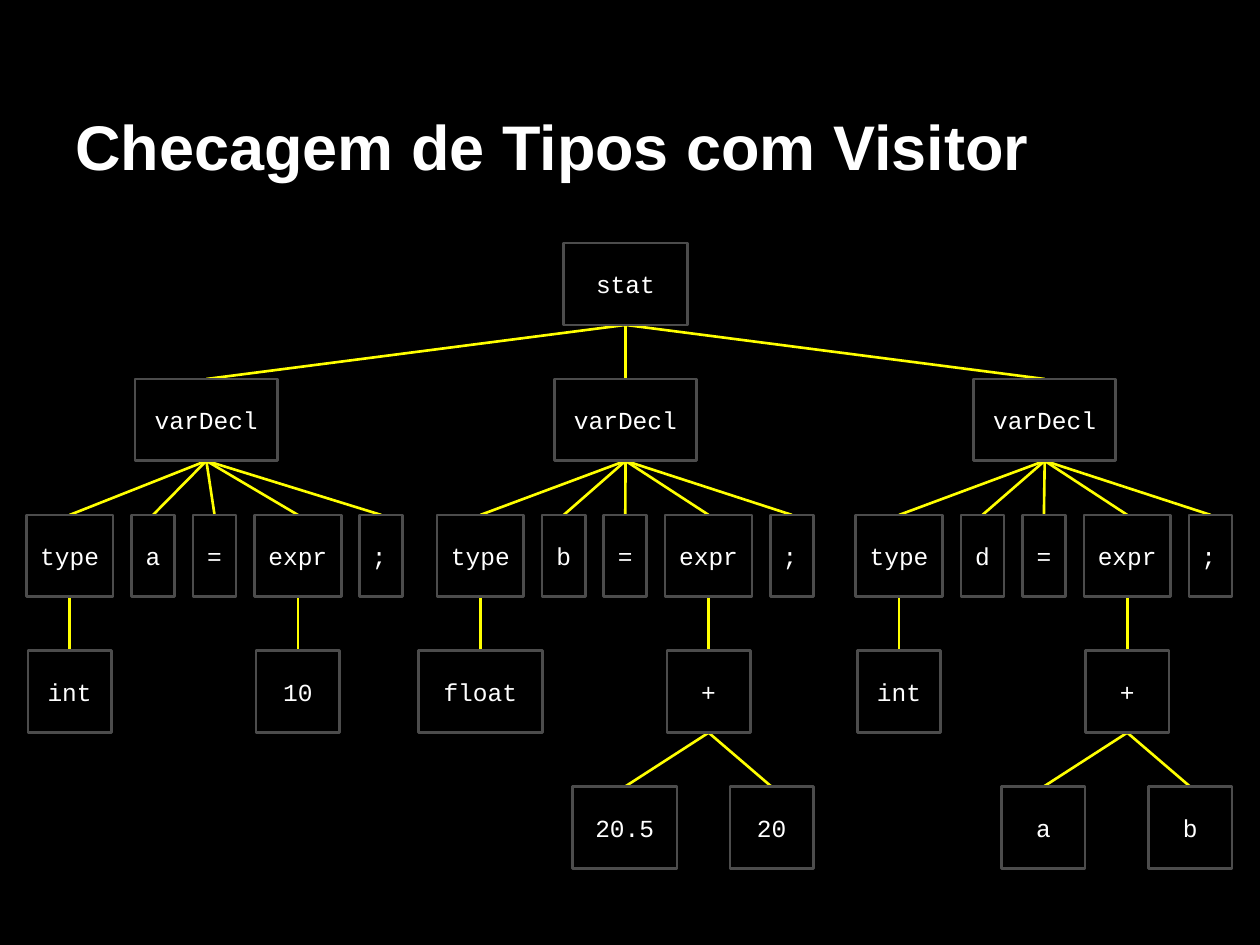
from lxml.etree import SubElement
from pptx import Presentation
from pptx.dml.color import RGBColor
from pptx.enum.shapes import MSO_CONNECTOR, MSO_SHAPE
from pptx.enum.text import MSO_ANCHOR, MSO_AUTO_SIZE, PP_ALIGN
from pptx.oxml.ns import qn
from pptx.util import Cm, Pt

BLACK = RGBColor(0x00, 0x00, 0x00)
WHITE = RGBColor(0xFF, 0xFF, 0xFF)
GRAY = RGBColor(0x4C, 0x4C, 0x4C)
YELLOW = RGBColor(0xFF, 0xFF, 0x00)

CODE = {"name": "Courier New", "size": Pt(14)}
HEAD = {"name": "Arial", "size": Pt(36), "bold": True}
FRAME = {"margin_left": Cm(0.25), "margin_right": Cm(0.25),
         "margin_top": Cm(0.25), "margin_bottom": Cm(0.25),
         "auto_size": MSO_AUTO_SIZE.NONE, "word_wrap": True}

# Tree levels, all in centimetres
TOP, STEP, HIGH = 4.9, 2.74, 1.65
MID, SIDE = 12.61, 8.45
WIDE, SLIM, GAP = 1.75, 0.87, 0.37
LEAF = 1.68


def style(text, font, anchor, align):
    """Format a one-paragraph text frame."""
    for key, value in FRAME.items():
        setattr(text, key, value)
    text.vertical_anchor = anchor
    line = text.paragraphs[0]
    line.alignment = align
    for key, value in font.items():
        setattr(line.font, key, value)
    line.font.color.rgb = WHITE


def add_node(label, x, width, level, parent=None):
    """Store a node centred on x and the edge from its parent."""
    node = (label, x, width, level)
    nodes.append(node)
    if parent:
        edges.append((parent, node))
    return node


deck = Presentation()
deck.slide_width, deck.slide_height = Cm(25.4), Cm(19.05)
slide = deck.slides.add_slide(deck.slide_layouts[5])
slide.background.fill.solid()
slide.background.fill.fore_color.rgb = BLACK

title = slide.shapes.title
title.left, title.top, title.width, title.height = Cm(1.27), Cm(0.76), Cm(22.86), Cm(3.18)
title.text_frame.text = "Checagem de Tipos com Visitor"
style(title.text_frame, HEAD, MSO_ANCHOR.BOTTOM, PP_ALIGN.LEFT)

# Each declaration: row start, type, type width, name, value, operands
decls = [
    (0.53, "int", LEAF, "a", "10", []),
    (8.81, "float", 2.5, "b", "+", [("20.5", 2.11), ("20", LEAF)]),
    (17.25, "int", LEAF, "d", "+", [("a", LEAF), ("b", LEAF)]),
]
nodes, edges = [], []
root = add_node("stat", MID, 2.5, 0)
for index, (left, kind, span, name, value, terms) in enumerate(decls):
    decl = add_node("varDecl", MID + (index - 1) * SIDE, 2.87, 1, root)
    row = {}
    for label in ("type", name, "=", "expr", ";"):
        width = WIDE if len(label) > 1 else SLIM
        row[label] = add_node(label, left + width / 2, width, 2, decl)
        left += width + GAP
    add_node(kind, row["type"][1], span, 3, row["type"])
    result = add_node(value, row["expr"][1], LEAF, 3, row["expr"])
    for (label, width), shift in zip(terms, (-1.69, 1.27)):
        add_node(label, result[1] + shift, width, 4, result)

for upper, lower in edges:
    edge = slide.shapes.add_connector(
        MSO_CONNECTOR.STRAIGHT,
        Cm(upper[1]), Cm(TOP + upper[3] * STEP + HIGH),
        Cm(lower[1]), Cm(TOP + lower[3] * STEP))
    edge.line.color.rgb = YELLOW
    edge.line.width = Pt(1.5)
    SubElement(edge.element.spPr, qn("a:effectLst"))

for label, x, width, level in nodes:
    box = slide.shapes.add_shape(
        MSO_SHAPE.RECTANGLE, Cm(x - width / 2), Cm(TOP + level * STEP),
        Cm(width), Cm(HIGH))
    box.shadow.inherit = False
    box.fill.solid()
    box.fill.fore_color.rgb = BLACK
    box.line.color.rgb = GRAY
    box.line.width = Pt(1.5)
    box.text_frame.text = label
    align = PP_ALIGN.LEFT if label == ";" else PP_ALIGN.CENTER
    style(box.text_frame, CODE, MSO_ANCHOR.MIDDLE, align)

deck.save("out.pptx")
